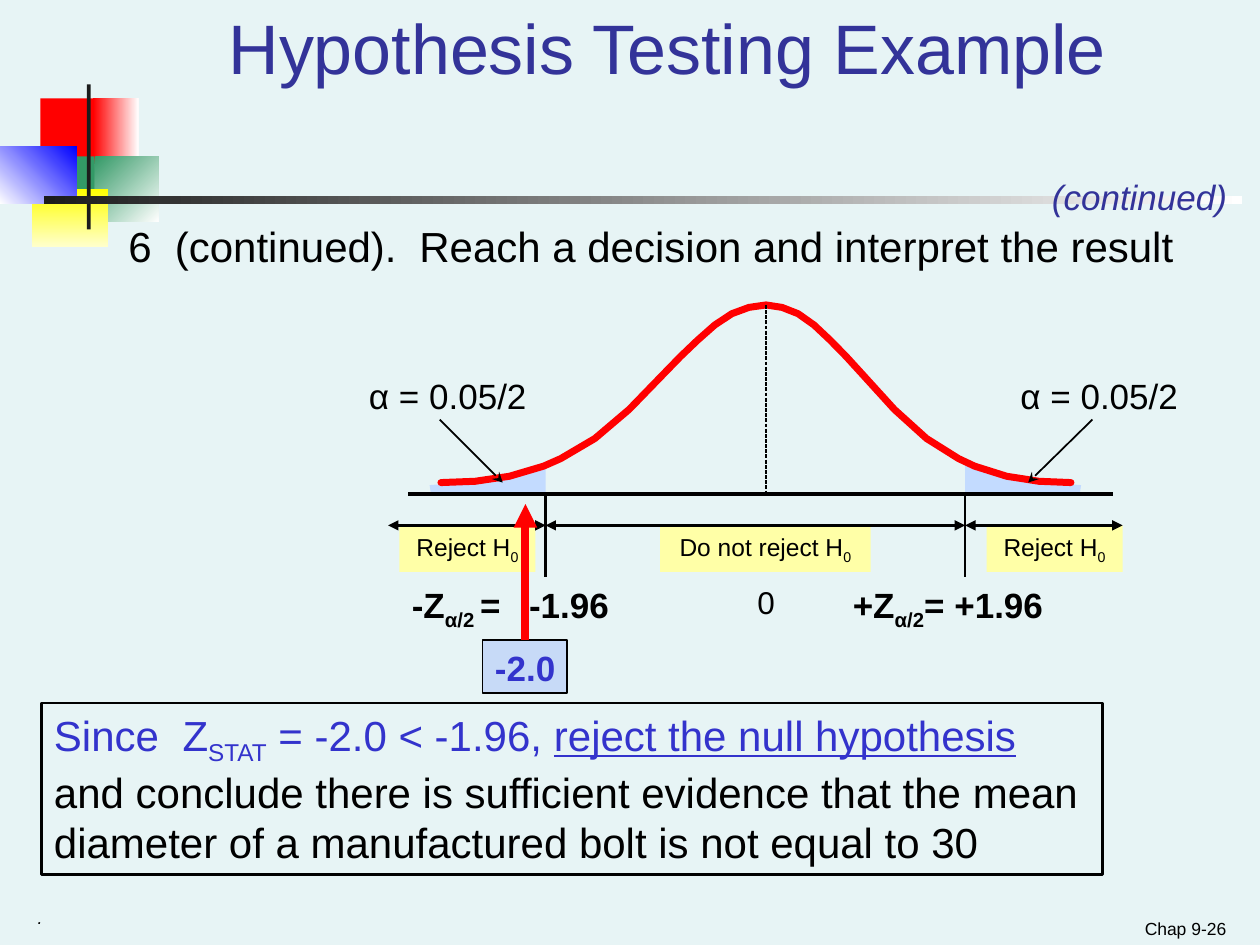
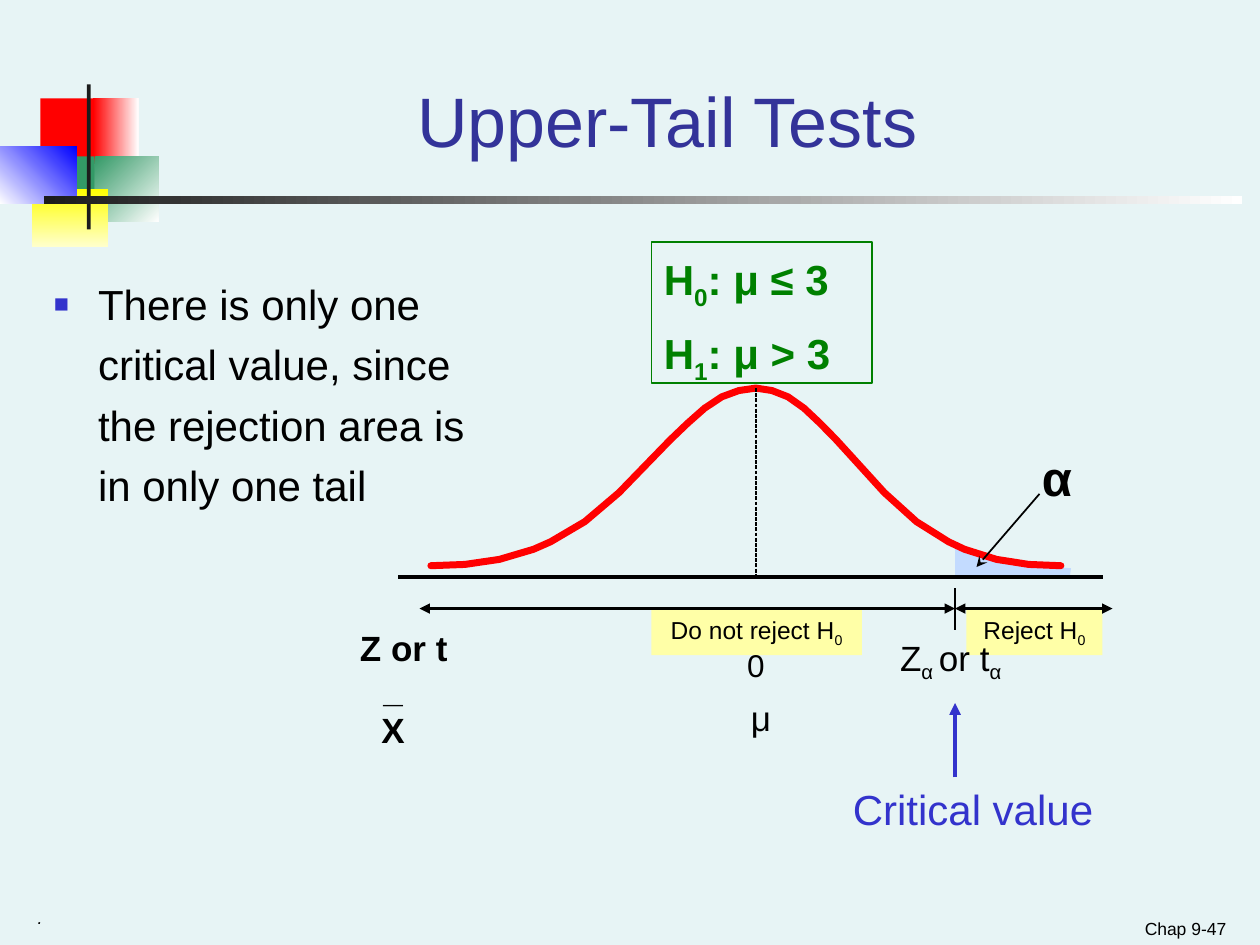
from dataclasses import dataclass
from lxml import etree
from pptx import Presentation
from pptx import util as u
from pptx.dml.color import RGBColor
from pptx.enum import dml, shapes, text
from pptx.oxml import ns


@dataclass(frozen=True)
class Theme:
    font: str = "Arial"
    back: str = "E7F4F5"
    title: str = "333399"
    ink: str = "000000"
    dark: str = "1C1C1C"
    white: str = "FFFFFF"
    blue: str = "3333CC"
    red: str = "FF0000"
    green: str = "008000"
    tail: str = "C3DBFF"
    label: str = "FFFFA7"
    stat: str = "C7DAF7"
    head: int = 40
    alpha: int = 28
    body: int = 24
    note: int = 20
    zero: int = 18
    tag: int = 14
    foot: int = 10


T = Theme()
ALIGN = text.PP_ALIGN
# Half bell: steps out from the peak (of 19), and height above the axis
STEPS = (19, 17, 16, 15, 14, 13, 12, 10, 8, 6, 5, 4, 3, 2, 1, 0)
RISE = (.09, .10, .12, .14, .18, .22, .28, .44, .67, .95,
        1.09, 1.22, 1.34, 1.43, 1.48, 1.5)
# Shaded tail: distance past the cut, and height above the axis
TAIL = ((0, 0), (0, .25), (.12, .19), (.25, .16), (.51, .1),
        (.92, .07), (.91, 0))


def rgb(code):
    return RGBColor.from_string(code)


def node(parent, tag, **attrs):
    return etree.SubElement(parent, ns.qn(tag), **attrs)


def paint(shape, fill=None, line=None, width=.75):
    """Set fill and outline; None leaves either one empty."""
    shape.shadow.inherit = False
    if fill:
        shape.fill.solid()
        shape.fill.fore_color.rgb = rgb(fill)
    else:
        shape.fill.background()
    if line:
        shape.line.color.rgb = rgb(line)
        shape.line.width = u.Pt(width)
    else:
        shape.line.fill.background()


def rect(slide, box, fill=None, line=None, width=.75, fade=None, angle=0):
    shape = slide.shapes.add_shape(shapes.MSO_SHAPE.RECTANGLE,
                                   *map(u.Inches, box))
    paint(shape, fill, line, width)
    if fade:
        shape.fill.gradient()
        shape.fill.gradient_angle = -angle % 360
        for stop, code in zip(shape.fill.gradient_stops, (fill, fade)):
            stop.color.rgb = rgb(code)
    return shape


def write(slide, box, *paras, shape=None, size=T.note, color=T.ink, bold=False,
          slant=False, align=ALIGN.LEFT, low=False, gap=0, lead=(1,),
          tabs=(), bullet=None):
    """Write paragraphs; ~x~ is a subscript, a pair is (text, own format)."""
    shape = shape or slide.shapes.add_textbox(*map(u.Inches, box))
    frame = shape.text_frame
    frame.word_wrap = True
    frame.vertical_anchor = text.MSO_ANCHOR.BOTTOM if low else text.MSO_ANCHOR.TOP
    for i, runs in enumerate(paras):
        para = frame.add_paragraph() if i else frame.paragraphs[0]
        para.alignment = align
        para.line_spacing = lead[i]
        para.space_before = u.Pt(gap if i else 0)
        props = para._p.get_or_add_pPr()
        if bullet:
            props.set("marL", str(u.Inches(.35)))
            props.set("indent", str(-u.Inches(.35)))
            node(node(props, "a:buClr"), "a:srgbClr", val=bullet)
            node(props, "a:buSzPct", val="60000")
            node(props, "a:buFont", typeface=T.font)
            node(props, "a:buChar", char="■")
        if tabs:
            stops = node(props, "a:tabLst")
            for pos in tabs:
                node(stops, "a:tab", pos=str(u.Inches(pos)), algn="l")
        for item in [runs] if isinstance(runs, str) else runs:
            words, own = (item, {}) if isinstance(item, str) else item
            for k, part in enumerate(words.split("~")):
                if not part:
                    continue
                run = para.add_run()
                run.text = part
                font = run.font
                font.name, font.size = T.font, u.Pt(size)
                font.bold, font.italic = bold, slant
                font.underline = own.get("under", False)
                font.color.rgb = rgb(own.get("color", color))
                if k % 2:
                    run._r.get_or_add_rPr().set("baseline", "-25000")


def link(slide, start, end, color=T.ink, width=1.5, head=None, tail=None,
         dash=False):
    line = slide.shapes.add_connector(shapes.MSO_CONNECTOR.STRAIGHT,
                                      *map(u.Inches, (*start, *end)))
    line.line.color.rgb = rgb(color)
    line.line.width = u.Pt(width)
    if dash:
        line.line.dash_style = dml.MSO_LINE.SQUARE_DOT
    edge = line.line._get_or_add_ln()
    for tag, kind in (("a:headEnd", head), ("a:tailEnd", tail)):
        if kind:
            node(edge, tag, type=kind)
    node(line._element.spPr, "a:effectLst")


def trace(slide, points, close):
    pts = [(u.Inches(x), u.Inches(y)) for x, y in points]
    pen = slide.shapes.build_freeform(*pts[0])
    pen.add_line_segments(pts[1:], close=close)
    return pen.convert_to_shape()


# Shared page parts
def motif(slide, x, y):
    """Coloured squares with a cross bar; x, y is the top left corner."""
    for box, fill, fade, angle in (
            ((.32, .11, .48, .52), T.red, None, 0),
            ((.74, .11, .36, .52), T.red, T.white, 0),
            ((.75, .57, .51, .52), "339966", T.white, 45),
            ((.43, .57, .32, .52), "339966", None, 0),
            ((.25, .83, .61, .46), "FFFF00", "FFFFCC", 90),
            ((0, .49, .61, .46), T.white, "0000FF", 315),
            ((.69, 0, .03, 1.15), T.dark, None, 0),
            ((.35, .89, 9.51, .06), T.dark, T.white, 0)):
        left, top, wide, high = box
        rect(slide, (x + left, y + top, wide, high), fill, fade=fade, angle=angle)


def page(deck, title, base, number):
    """New slide; base is the bottom edge of its title."""
    slide = deck.slides.add_slide(deck.slide_layouts[6])
    slide.background.fill.solid()
    slide.background.fill.fore_color.rgb = rgb(T.back)
    motif(slide, 0, .67)
    write(slide, (1.26, base - .75, 8.07, .75), title, size=T.head,
          color=T.title, align=ALIGN.CENTER, low=True)
    write(slide, (7.5, 7.15, 2.33, .35), number, size=T.foot,
          align=ALIGN.RIGHT, low=True)
    write(slide, (.2, 7.15, 6.2, .35), ".", size=T.foot, slant=True)
    return slide


# Diagram parts
def bell(slide, x, y, cuts):
    """Curve, axis and shaded tails; cuts are (offset, direction)."""
    peak, axis = x + 3, y + 1.5
    for cut, way in cuts:
        tail = trace(slide, [(x + cut + way * dx, axis - dy)
                             for dx, dy in TAIL], True)
        paint(tail, T.tail)
    left = [(peak - 2.58 * s / 19, axis - r) for s, r in zip(STEPS, RISE)]
    right = [(peak + 2.42 * s / 19, axis - r) for s, r in zip(STEPS, RISE)]
    curve = trace(slide, left + right[-2::-1], False)
    paint(curve, None, T.red, 4)
    curve.line._get_or_add_ln().set("cap", "rnd")
    link(slide, (x + .16, axis), (x + 5.75, axis), width=2)
    link(slide, (peak, y), (peak, axis), width=.75, dash=True)


def zones(slide, x, y, tags, spans, ticks, reach):
    """Yellow labels, the ranges they name and the ticks between."""
    for left, wide, words in tags:
        box = (x + left, y, wide, .37)
        write(slide, box, words, shape=rect(slide, box, T.label), size=T.tag,
              align=ALIGN.CENTER)
    for start, end in spans:
        link(slide, (x + start, y), (x + end, y), head="triangle",
             tail="triangle")
    for tick in ticks:
        link(slide, (x + tick, y + reach[0]), (x + tick, y + reach[1]))


def example(deck):
    slide = page(deck, "Hypothesis Testing Example", .75, "Chap 9-26")
    write(slide, (8.25, 1.34, 1.7, .44), "(continued)", color=T.title, slant=True)
    write(slide, (.92, 1.75, 8.83, .73),
          "6\t(continued).\tReach a decision and interpret the result",
          size=T.body, lead=(.9,), tabs=(.37, 2.31))
    # Two-tailed curve
    x, y = 3.08, 2.42
    bell(slide, x, y, ((1.25, -1), (4.58, 1)))
    zones(slide, x, y + 1.75,
          ((.09, 1.08, "Reject H~0~"), (2.16, 1.67, "Do not reject H~0~"),
           (4.75, 1.08, "Reject H~0~")),
          ((0, 1.25), (1.25, 4.58), (4.58, 5.83)), (1.25, 4.58), (-.25, .41))
    for left, start, end in ((-.25, .41, .91), (4.92, 5.59, 5.08)):
        write(slide, (x + left, y + .5, 1.51, .43), "α = 0.05/2")
        link(slide, (x + start, y + .91), (x + end, y + 1.41), width=1,
             tail="stealth")
    # Critical values
    write(slide, (x + .09, y + 2.16, 1.92, .48), "-Z~α/2 ~=\t-1.96",
          bold=True, tabs=(.93,))
    write(slide, (x + 2.75, y + 2.16, .5, .4), "0", size=T.zero,
          align=ALIGN.CENTER)
    write(slide, (x + 3.59, y + 2.16, 1.83, .48), "+Z~α/2~= +1.96", bold=True)
    # Test statistic
    rect(slide, (3.83, 5.08, .67, .42), T.stat, T.ink)
    write(slide, (3.83, 5.08, .75, .44), "-2.0", color=T.blue, bold=True)
    link(slide, (4.17, 5.08), (4.17, 4), T.red, 4.5, tail="triangle")
    # Conclusion
    box = (.33, 5.58, 8.42, 1.36)
    write(slide, box,
          ["Since\tZ~STAT~ = -2.0 < -1.96, ",
           ("reject the null hypothesis", {"under": True}),
           (" and conclude there is sufficient evidence that the mean diameter "
            "of a manufactured bolt is not equal to 30", {"color": T.ink})],
          shape=rect(slide, box, line=T.ink, width=1.5), size=T.body,
          color=T.blue, tabs=(1.02,))


def upper(deck):
    slide = page(deck, "Upper-Tail Tests", 1.33, "Chap 9-47")
    write(slide, (.33, 2.08, 3.67, 2.42),
          "There is only one critical value, since the rejection area is in "
          "only one tail", size=T.body, lead=(1.2,), bullet=T.blue)
    # One-tailed curve
    x, y = 3, 3.08
    bell(slide, x, y, ((4.58, 1),))
    zones(slide, x, y + 1.75,
          ((2.17, 1.67, "Do not reject H~0~"), (4.67, 1.08, "Reject H~0~")),
          ((.33, 4.58), (4.58, 5.83)), (4.58,), (-.16, .17))
    write(slide, (x + 5.17, y + .42, .58, .56), "α", size=T.alpha, bold=True)
    link(slide, (x + 5.25, y + .84), (x + 4.75, y + 1.42), width=1,
         tail="stealth")
    # Hypotheses
    box = (5.17, 1.92, 1.75, 1.12)
    write(slide, box, "H~0~: μ ≤ 3", "H~1~: μ > 3",
          shape=rect(slide, box, line=T.green), size=T.body, color=T.green,
          bold=True, gap=15, lead=(1.1, .7))
    # Scales under the axis
    for left, top, wide, words, size, bold in (
            (3.92, 1.92, 1.25, "Z~α ~or t~α~", T.note, False),
            (2.75, 2, .5, "0", T.zero, False),
            (2.75, 2.4, .58, "μ", T.note, False),
            (-.42, 1.84, 1.25, "Z or t", T.note, True),
            (-.17, 2.49, .58, "X", T.note, True),
            (-.17, 2.17, .58, "_", T.note, True)):
        write(slide, (x + left, y + top, wide, .44), words, size=size,
              bold=bold, align=ALIGN.CENTER)
    # Critical value pointer
    write(slide, (6.67, 6.17, 2.17, .5), "Critical value", size=T.body,
          color=T.blue)
    link(slide, (7.58, 6.17), (7.58, 5.58), T.blue, 2.25, tail="triangle")


def main():
    deck = Presentation()
    deck.slide_width, deck.slide_height = u.Inches(10), u.Inches(7.5)
    example(deck)
    upper(deck)
    deck.save("out.pptx")


if __name__ == "__main__":
    main()
